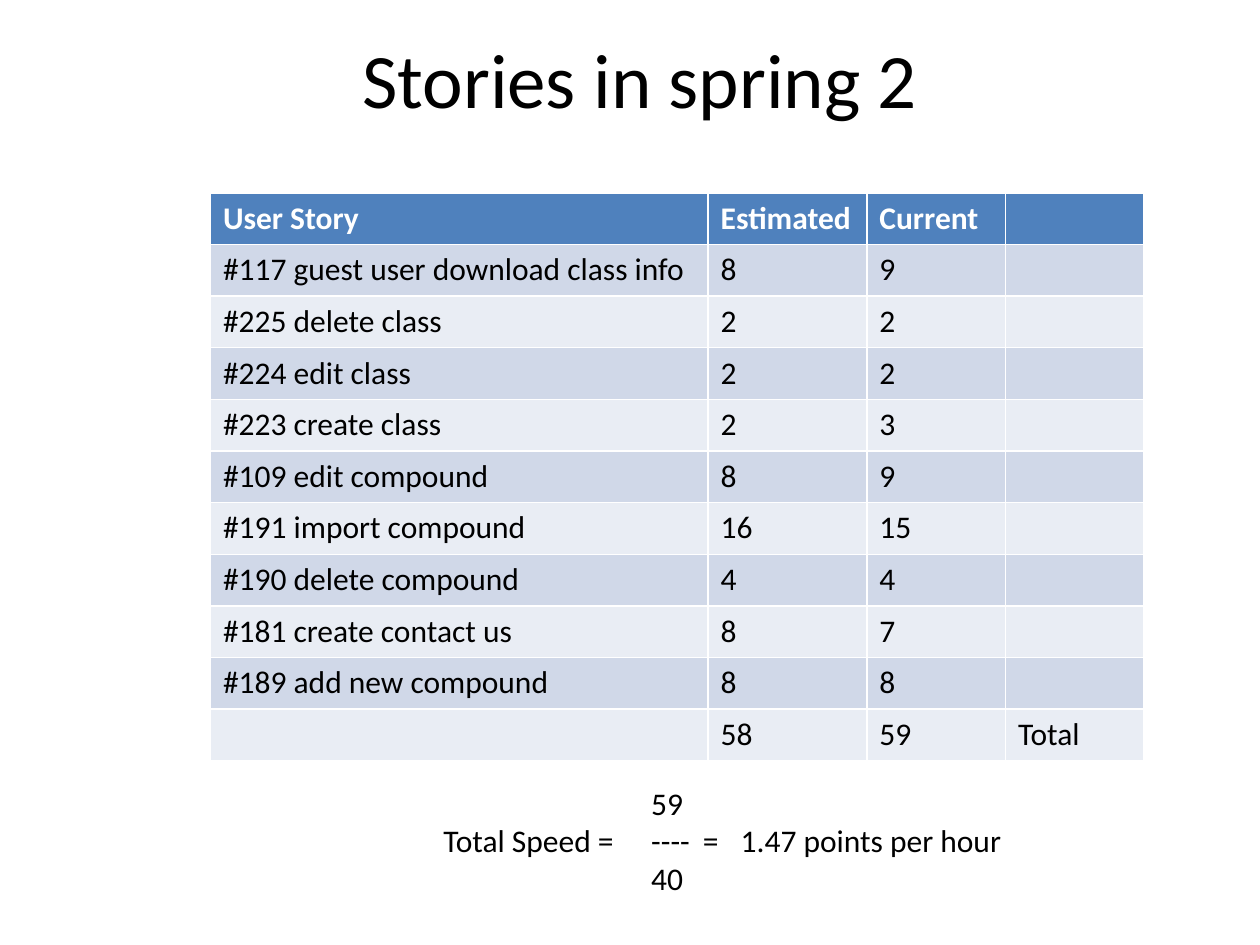
from lxml import etree
from pptx import Presentation
from pptx import util as u
from pptx.dml.color import RGBColor
from pptx.enum import text
from pptx.oxml.ns import qn

COLORS = {
    "ink": "000000",
    "header": "4F81BD",
    "header_text": "FFFFFF",
    "odd_row": "D0D8E8",
    "even_row": "E9EDF4",
}
STORIES = [
    ("#117 guest user download class info", 8, 9),
    ("#225 delete class", 2, 2),
    ("#224 edit class", 2, 2),
    ("#223 create class", 2, 3),
    ("#109 edit compound", 8, 9),
    ("#191 import compound", 16, 15),
    ("#190 delete compound", 4, 4),
    ("#181 create contact us", 8, 7),
    ("#189 add new compound", 8, 8),
]


class StoryPage:
    font = "Calibri"
    body_size = 18

    def __init__(self, deck):
        self.page = deck.slides.add_slide(deck.slide_layouts[6])

    def span(self, para, words, size=body_size, color="ink", bold=False):
        span = para.add_run()
        span.text = words
        span.font.name = self.font
        span.font.size = u.Pt(size)
        span.font.bold = bold
        span.font.color.rgb = RGBColor.from_string(COLORS[color])

    def text_box(self, place, lines, size=body_size, align=text.PP_ALIGN.LEFT,
                 anchor=text.MSO_ANCHOR.TOP, tabs=()):
        box = self.page.shapes.add_textbox(*map(u.Inches, place))
        frame = box.text_frame
        frame.word_wrap = True
        frame.vertical_anchor = anchor
        para = frame.paragraphs[0]
        para.alignment = align
        if tabs:
            stops = etree.SubElement(para._p.get_or_add_pPr(), qn("a:tabLst"))
            for stop in tabs:
                etree.SubElement(stops, qn("a:tab"), pos=str(u.Inches(stop)), algn="l")
        for index, line in enumerate(lines):
            if index:
                para.add_line_break()
            self.span(para, line, size)

    def table(self, left, top, widths, row_height, rows):
        place = (left, top, sum(widths), row_height * len(rows))
        table = self.page.shapes.add_table(
            len(rows), len(widths), *map(u.Inches, place)).table
        for column, width in zip(table.columns, widths):
            column.width = u.Inches(width)
        for index, values in enumerate(rows):
            table.rows[index].height = u.Inches(row_height)
            is_header = index == 0
            fill = "header" if is_header else "odd_row" if index % 2 else "even_row"
            for cell, value in zip(table.rows[index].cells, values):
                cell.fill.solid()
                cell.fill.fore_color.rgb = RGBColor.from_string(COLORS[fill])
                if value != "":
                    self.span(cell.text_frame.paragraphs[0], str(value),
                              color="header_text" if is_header else "ink",
                              bold=is_header)


def main():
    deck = Presentation()
    deck.slide_width = u.Inches(10)
    deck.slide_height = u.Inches(7.5)
    page = StoryPage(deck)

    page.text_box((0.58, -0.01, 9, 1.25), ["Stories in spring 2"], 44,
                  text.PP_ALIGN.CENTER, text.MSO_ANCHOR.MIDDLE)

    estimated = sum(story[1] for story in STORIES)
    current = sum(story[2] for story in STORIES)
    rows = [("User Story", "Estimated", "Current", "")]
    rows += [(*story, "") for story in STORIES]
    rows.append(("", estimated, current, "Total"))
    page.table(1.67, 1.53, (3.95, 1.26, 1.1, 1.1), 0.41, rows)

    page.text_box((3.42, 6.47, 1.57, 0.4), ["Total Speed ="])
    page.text_box((5.07, 6.17, 3.02, 1.01),
                  [str(current), "----\t=\t1.47 points per hour", "40"],
                  tabs=(0.41, 0.71))
    deck.save("out.pptx")


if __name__ == "__main__":
    main()
